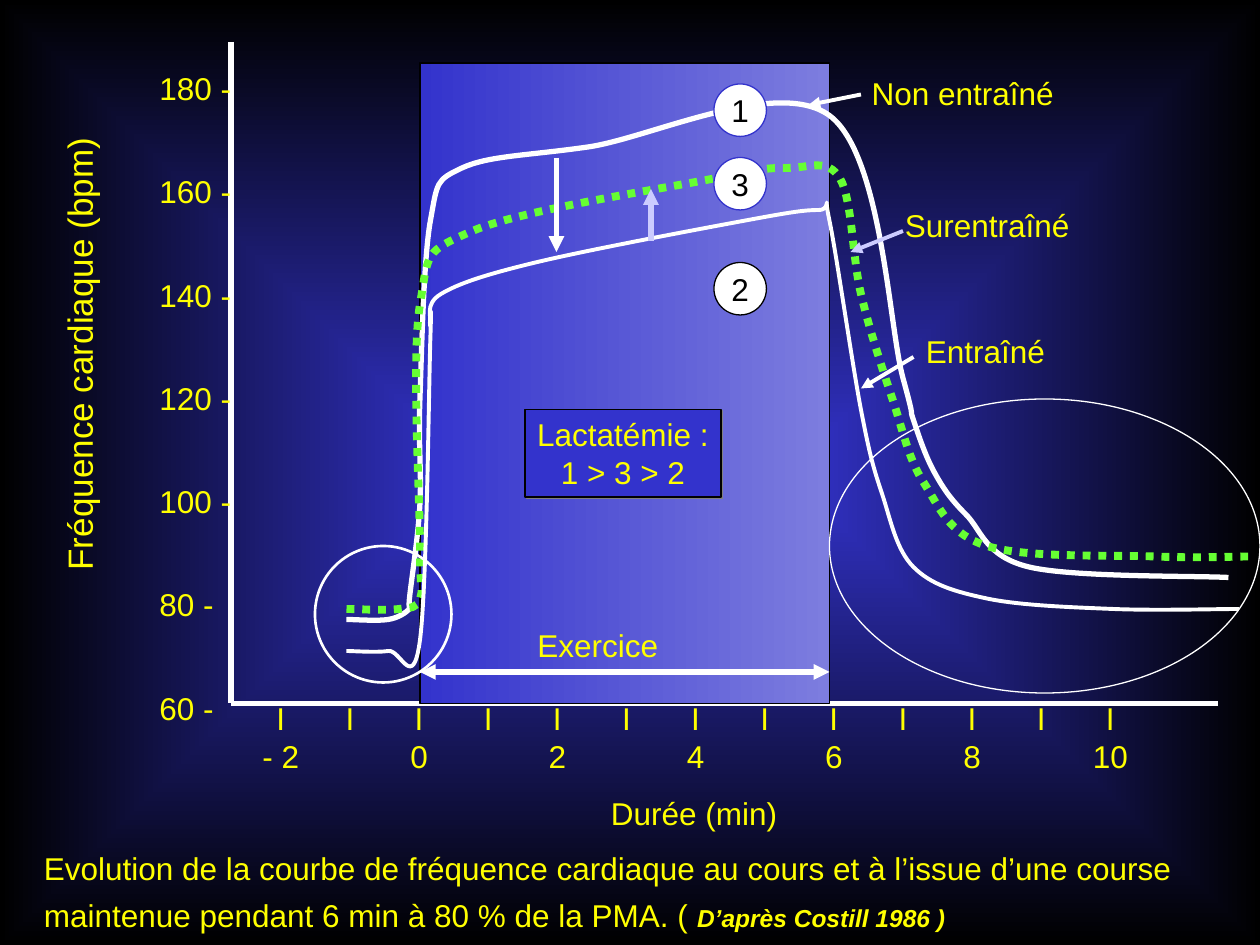
from lxml.etree import SubElement
from pptx import Presentation
from pptx.dml.color import RGBColor
from pptx.enum.dml import MSO_LINE as Dash
from pptx.enum.shapes import MSO_CONNECTOR as Conn, MSO_SHAPE as Kind
from pptx.enum.text import MSO_ANCHOR as Anchor, PP_ALIGN as Align
from pptx.oxml.ns import qn
from pptx.util import Pt

BLUE, PALE, LILAC = "3333CC", "7D7DDF", "CCCCFF"
WHITE, BLACK, YELLOW, GREEN = "FFFFFF", "000000", "FFFF00", "66FF33"

# Curve nodes, in points from the top left of the slide's plot
RAW = [(66, 330), (90, 330), (102, 324), (102, 318), (108, 264), (108, 204),
       (114, 102), (132, 72), (204, 60), (342, 42), (384, 192), (390, 216),
       (402, 246), (420, 270), (456, 300), (570, 306)]
OVER = [(66, 324), (96, 324), (108, 318), (108, 288), (108, 150), (138, 108),
        (276, 78), (318, 72), (348, 78), (360, 144), (378, 204), (396, 252),
        (432, 288), (528, 294), (582, 294)]
FIT = [(66, 348), (90, 348), (108, 342), (114, 168), (114, 162), (120, 144),
       (174, 126), (294, 102), (336, 96), (342, 102), (360, 210), (372, 258),
       (390, 300), (432, 318), (504, 324), (576, 324)]


def rgb(code):
    return RGBColor.from_string(code)


def blend(fill, first, last):
    fill.gradient()
    for stop, code in zip(fill.gradient_stops, (first, last)):
        stop.color.rgb = rgb(code)


def write(par, text, size=18, color=YELLOW, bold=False, italic=False):
    run = par.add_run()
    run.text = text
    font = run.font
    font.name, font.size = "Arial", Pt(size)
    font.bold, font.italic = bold, italic
    font.color.rgb = rgb(color)


def label(slide, box, lines, size=18, gap=0):
    """Text box with one paragraph per line and no right inset."""
    shape = slide.shapes.add_textbox(*map(Pt, box))
    frame = shape.text_frame
    frame.word_wrap, frame.margin_right = True, 0
    for i, text in enumerate(lines):
        par = frame.add_paragraph() if i else frame.paragraphs[0]
        if i and gap:
            par.space_before = Pt(gap)
        write(par, text, size)
    return shape


def line(slide, start, end, color, width, ends=()):
    conn = slide.shapes.add_connector(Conn.STRAIGHT, *map(Pt, (*start, *end)))
    conn.line.color.rgb = rgb(color)
    conn.line.width = Pt(width)
    for end_tag in ends:
        SubElement(conn.line._get_or_add_ln(), qn(end_tag), type="triangle")
    SubElement(conn._element.spPr, qn("a:effectLst"))


def shape(slide, kind, box, edge, width, fill=None, lines=(), color=BLACK):
    item = slide.shapes.add_shape(kind, *map(Pt, box))
    item.shadow.inherit = False
    item.line.color.rgb = rgb(edge)
    item.line.width = Pt(width)
    if fill:
        item.fill.solid()
        item.fill.fore_color.rgb = rgb(fill)
    else:
        item.fill.background()
    frame = item.text_frame
    frame.word_wrap, frame.vertical_anchor = False, Anchor.MIDDLE
    for i, text in enumerate(lines):
        par = frame.add_paragraph() if i else frame.paragraphs[0]
        par.alignment = Align.CENTER
        write(par, text, color=color)
    return item


def curve(slide, nodes, color, width, dash=None):
    """Smooth line: each handle is a sixth of the span between neighbours."""
    last = len(nodes) - 1

    def handle(i, sign):
        prev, nxt = nodes[max(i - 1, 0)], nodes[min(i + 1, last)]
        return tuple(n + sign * (b - a) / 6 for n, a, b in zip(nodes[i], prev, nxt))

    dots = []
    for i in range(last):
        dots += [handle(i, 1), handle(i + 1, -1), nodes[i + 1]]
    build = slide.shapes.build_freeform(*map(Pt, nodes[0]))
    build.add_line_segments([(Pt(x), Pt(y)) for x, y in dots], close=False)
    item = build.convert_to_shape()
    # Turn each three straight steps into one Bezier step
    route = next(item._element.iter(qn("a:path")))
    steps = route.findall(qn("a:lnTo"))
    for i in range(0, len(steps), 3):
        bend = SubElement(route, qn("a:cubicBezTo"))
        for step in steps[i:i + 3]:
            bend.append(step[0])
            route.remove(step)
    item.shadow.inherit = False
    item.fill.background()
    item.line.color.rgb = rgb(color)
    item.line.width = Pt(width)
    if dash:
        item.line.dash_style = dash


def draw_axes(slide, box):
    x, y, w, h = box
    line(slide, (x, y), (x, y + h), WHITE, 3)
    line(slide, (x, y + h), (x + w, y + h), WHITE, 3)
    # Heart rate scale
    rates = [f"{rate} -" for rate in range(180, 40, -20)]
    label(slide, (x - 48, y + 12, 55, 377), rates, gap=37.4)
    title = label(slide, (x - 217, y + 162.5, 261, 32), ["Fréquence cardiaque (bpm)"], 20)
    title.rotation = 270
    # Time scale: a mark each minute, a number each second one
    marks = "\tI" * 13
    times = "\t" + "\t\t".join(["- 2", "0", "2", "4", "6", "8", "10"])
    scale = label(slide, (x - 6, y + h - 6, 526, 50), [marks, times])
    for par in scale.text_frame.paragraphs:
        tabs = SubElement(par._p.get_or_add_pPr(), qn("a:tabLst"))
        for i in range(13):
            SubElement(tabs, qn("a:tab"), pos=str(Pt(27.4 + 39.5 * i)), algn="ctr")
    label(slide, (x + 210, y + h + 48, 109, 29), ["Durée (min)"])


def draw_plot(slide, box):
    x, y, w, h = box

    def at(dx, dy, *size):
        return (x + dx, y + dy, *size)

    # Exercise period
    panel = shape(slide, Kind.RECTANGLE, at(108, 12, 234, h - 12), BLACK, 0.75)
    blend(panel.fill, BLUE, PALE)
    panel.fill.gradient_angle = 0
    # Heart rate curves
    for nodes, color, width, dash in ((RAW, WHITE, 3, None),
                                      (OVER, GREEN, 4.5, Dash.ROUND_DOT),
                                      (FIT, WHITE, 2.25, None)):
        curve(slide, [at(*node) for node in nodes], color, width, dash)
    line(slide, at(108, 360), at(342, 360), WHITE, 3, ("a:headEnd", "a:tailEnd"))
    label(slide, at(168, 330, 84, 29), ["Exercice"])
    # Curve names with their pointers
    for text, spot, start, end, color in (
            ("Non entraîné", (359, 15, 118, 29), (360, 30), (330, 36), WHITE),
            ("Surentraîné", (378, 90, 108, 29), (384, 108), (354, 120), LILAC),
            ("Entraîné", (390, 162, 82, 29), (390, 180), (360, 198), WHITE)):
        label(slide, at(*spot), [text])
        line(slide, at(*start), at(*end), color, 2.25, ("a:tailEnd",))
    # Shifts between curves
    line(slide, at(186, 66), at(186, 120), WHITE, 3, ("a:tailEnd",))
    line(slide, at(240, 114), at(240, 84), LILAC, 3, ("a:tailEnd",))
    # Rest and recovery zones
    shape(slide, Kind.OVAL, at(48, 288, 78, 78), WHITE, 1.5)
    shape(slide, Kind.OVAL, at(342, 204, 246, 168), WHITE, 0.75)
    # Curve numbers
    for text, top, edge in (("1", 24, BLUE), ("3", 66, BLUE), ("2", 126, BLACK)):
        shape(slide, Kind.OVAL, at(276, top, 30, 30), edge, 0.75, WHITE, [text])
    # Lactate note
    note = shape(slide, Kind.RECTANGLE, at(168, 210, 112, 50), BLACK, 0.75, BLUE,
                 ["Lactatémie :", "1 > 3 > 2"], YELLOW)
    effect = note._element.spPr.find(qn("a:effectLst"))
    shade = SubElement(effect, qn("a:outerShdw"), dist=str(Pt(1.4)), dir="2700000")
    SubElement(shade, qn("a:srgbClr"), val="808080")


def draw_caption(slide, box):
    frame = slide.shapes.add_textbox(*map(Pt, box)).text_frame
    frame.word_wrap = True
    par = frame.paragraphs[0]
    par.line_spacing = Pt(27.4)
    write(par, "Evolution de la courbe de fréquence cardiaque au cours et à l’issue "
               "d’une course maintenue pendant 6 min à 80 % de la PMA. ( ")
    write(par, "D’après Costill 1986 )", 14, bold=True, italic=True)


def draw_ground(slide):
    fill = slide.background.fill
    blend(fill, BLUE, BLACK)
    grad = next(slide._element.iter(qn("a:gradFill")))
    grad.remove(grad.find(qn("a:lin")))
    route = SubElement(grad, qn("a:path"), path="rect")
    SubElement(route, qn("a:fillToRect"), l="50000", t="50000", r="50000", b="50000")


def main():
    deck = Presentation()
    deck.slide_width, deck.slide_height = Pt(720), Pt(540)
    slide = deck.slides.add_slide(deck.slide_layouts[6])
    plot = (132, 24, 564, 378)
    draw_ground(slide)
    draw_axes(slide, plot)
    draw_plot(slide, plot)
    draw_caption(slide, (18, 475.5, 702, 62))
    deck.save("out.pptx")


if __name__ == "__main__":
    main()
